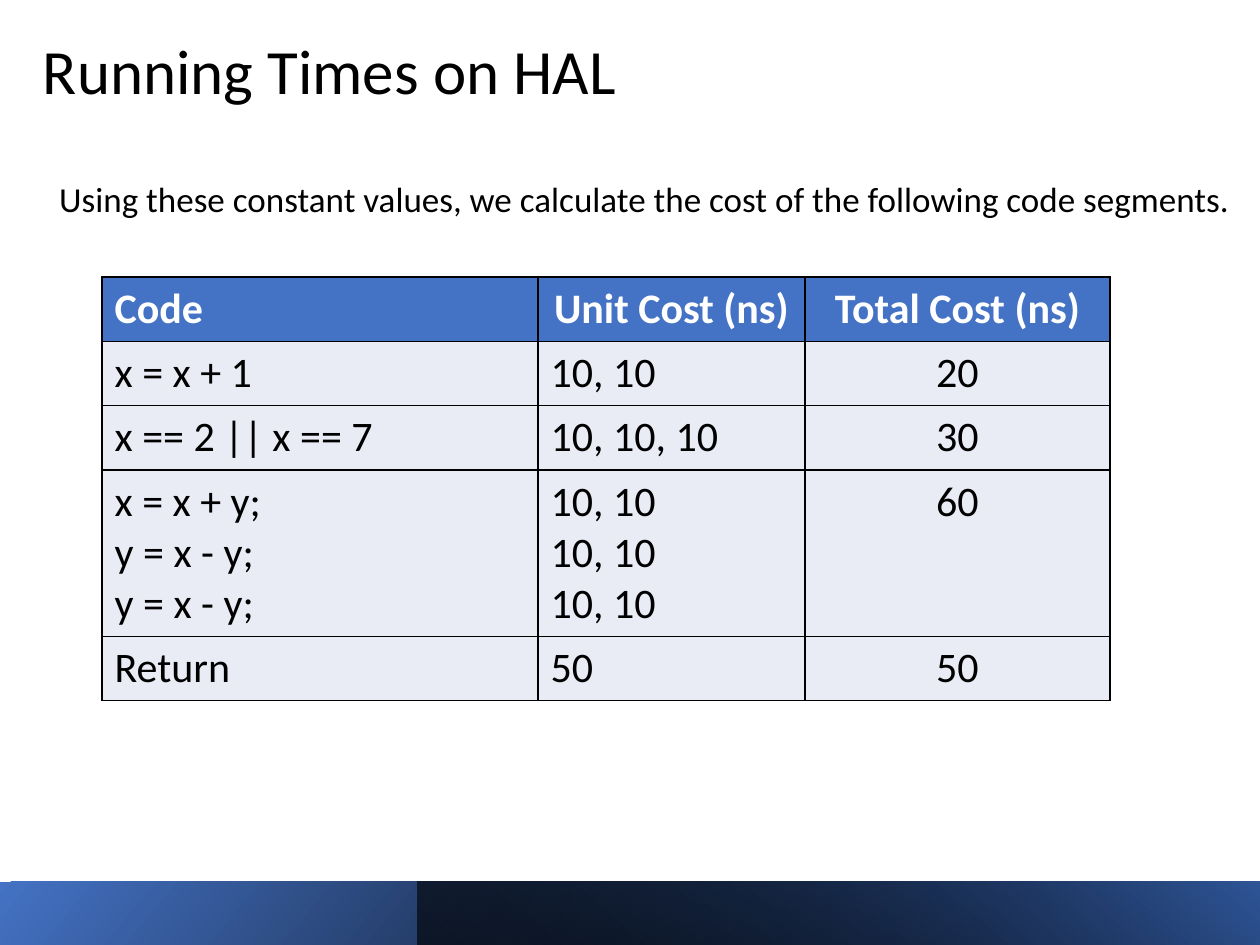
from dataclasses import dataclass

from lxml import etree
from pptx import Presentation
from pptx.dml.color import RGBColor
from pptx.enum.shapes import MSO_SHAPE
from pptx.enum.text import MSO_ANCHOR, MSO_AUTO_SIZE, PP_ALIGN
from pptx.oxml.ns import qn
from pptx.util import Inches, Pt

RECTANGLE = MSO_SHAPE.RECTANGLE
TOP, BOTTOM = MSO_ANCHOR.TOP, MSO_ANCHOR.BOTTOM
NO_AUTOFIT = MSO_AUTO_SIZE.NONE
LEFT, CENTER = PP_ALIGN.LEFT, PP_ALIGN.CENTER


@dataclass(frozen=True)
class Theme:
    font: str = "Calibri"
    title_size: int = 36
    body_size: int = 20
    table_size: int = 24
    text: str = "000000"
    header_text: str = "FFFFFF"
    accent: str = "4472C4"
    deep_accent: str = "2F5597"
    row_fill: str = "E9EBF5"
    border: str = "000000"


THEME = Theme()

COLUMN_WIDTHS = [3.46, 2.12, 2.42]
ROW_HEIGHTS = [0.51, 0.51, 0.51, 1.32, 0.51]
COST_ROWS = [
    ["Code", "Unit Cost (ns)", "Total Cost (ns)"],
    ["x = x + 1", "10, 10", "20"],
    ["x == 2 || x == 7", "10, 10, 10", "30"],
    ["x = x + y;\ny = x - y;\ny = x - y;", "10, 10\n10, 10\n10, 10", "60"],
    ["Return", "50", "50"],
]


def format_paragraph(paragraph, size, color, alignment=LEFT, bold=False):
    paragraph.alignment = alignment
    for run in paragraph.runs:
        run.font.name = THEME.font
        run.font.size = Pt(size)
        run.font.bold = bold
        run.font.color.rgb = RGBColor.from_string(color)


def fill_placeholder(shape, text, box, size, anchor, space_before=0):
    shape.left, shape.top, shape.width, shape.height = map(Inches, box)
    frame = shape.text_frame
    frame.text = text
    frame.word_wrap = True
    frame.auto_size = NO_AUTOFIT
    frame.vertical_anchor = anchor
    paragraph = frame.paragraphs[0]
    paragraph.line_spacing = 0.9
    paragraph.space_before = Pt(space_before)
    format_paragraph(paragraph, size, THEME.text)


def remove_bullet(paragraph):
    properties = paragraph._p.get_or_add_pPr()
    properties.set("marL", "0")
    properties.set("indent", "0")
    etree.SubElement(properties, qn("a:buNone"))


def add_gradient_bar(slide, left, width, angle, stops):
    shape = slide.shapes.add_shape(
        RECTANGLE, Inches(left), Inches(7), Inches(width), Inches(0.5))
    shape.shadow.inherit = False
    shape.line.fill.background()
    shape.fill.gradient()
    shape.fill.gradient_angle = angle
    for stop, (position, color, opacity) in zip(shape.fill.gradient_stops, stops):
        stop.position = position
        stop.color.rgb = RGBColor.from_string(color)
        if opacity < 1:
            color_element = stop._gs.find(qn("a:srgbClr"))
            alpha = etree.SubElement(color_element, qn("a:alpha"))
            alpha.set("val", str(int(opacity * 100000)))


def add_borders(cell):
    properties = cell._tc.get_or_add_tcPr()
    for index, side in enumerate(("lnL", "lnR", "lnT", "lnB")):
        line = etree.Element(qn(f"a:{side}"), w=str(Pt(1)))
        fill = etree.SubElement(line, qn("a:solidFill"))
        etree.SubElement(fill, qn("a:srgbClr"), val=THEME.border)
        properties.insert(index, line)


def format_cell(cell, text, is_header, alignment):
    cell.text = text
    cell.fill.solid()
    cell.fill.fore_color.rgb = RGBColor.from_string(
        THEME.accent if is_header else THEME.row_fill)
    color = THEME.header_text if is_header else THEME.text
    for paragraph in cell.text_frame.paragraphs:
        format_paragraph(paragraph, THEME.table_size, color, alignment, is_header)
    add_borders(cell)


def add_cost_table(slide):
    table = slide.shapes.add_table(
        len(COST_ROWS), len(COLUMN_WIDTHS), Inches(0.81), Inches(2.2),
        Inches(sum(COLUMN_WIDTHS)), Inches(sum(ROW_HEIGHTS))).table
    for column, width in zip(table.columns, COLUMN_WIDTHS):
        column.width = Inches(width)
    for row_index, (height, texts) in enumerate(zip(ROW_HEIGHTS, COST_ROWS)):
        table.rows[row_index].height = Inches(height)
        is_header = row_index == 0
        for column_index, text in enumerate(texts):
            centered = column_index == 2 or (is_header and column_index == 1)
            format_cell(table.cell(row_index, column_index), text, is_header,
                        CENTER if centered else LEFT)


def main():
    presentation = Presentation()
    presentation.slide_width = Inches(10)
    presentation.slide_height = Inches(7.5)
    slide = presentation.slides.add_slide(presentation.slide_layouts[1])
    fill_placeholder(slide.shapes.title, "Running Times on HAL",
                     (0.24, -0.89, 7.95, 1.8), THEME.title_size, BOTTOM)
    body = slide.placeholders[1]
    fill_placeholder(
        body,
        "Using these constant values, we calculate the cost of the following code segments.",
        (0.37, 1.4, 9.63, 5.1), THEME.body_size, TOP, 7.5)
    remove_bullet(body.text_frame.paragraphs[0])
    add_gradient_bar(slide, 0, 10, 320,
                     [(0, THEME.accent, 1), (0.78, "000000", 1)])
    add_gradient_bar(slide, 3.31, 6.69, 50,
                     [(0, "000000", 0.63), (1, THEME.deep_accent, 1)])
    add_cost_table(slide)
    presentation.save("out.pptx")


if __name__ == "__main__":
    main()
